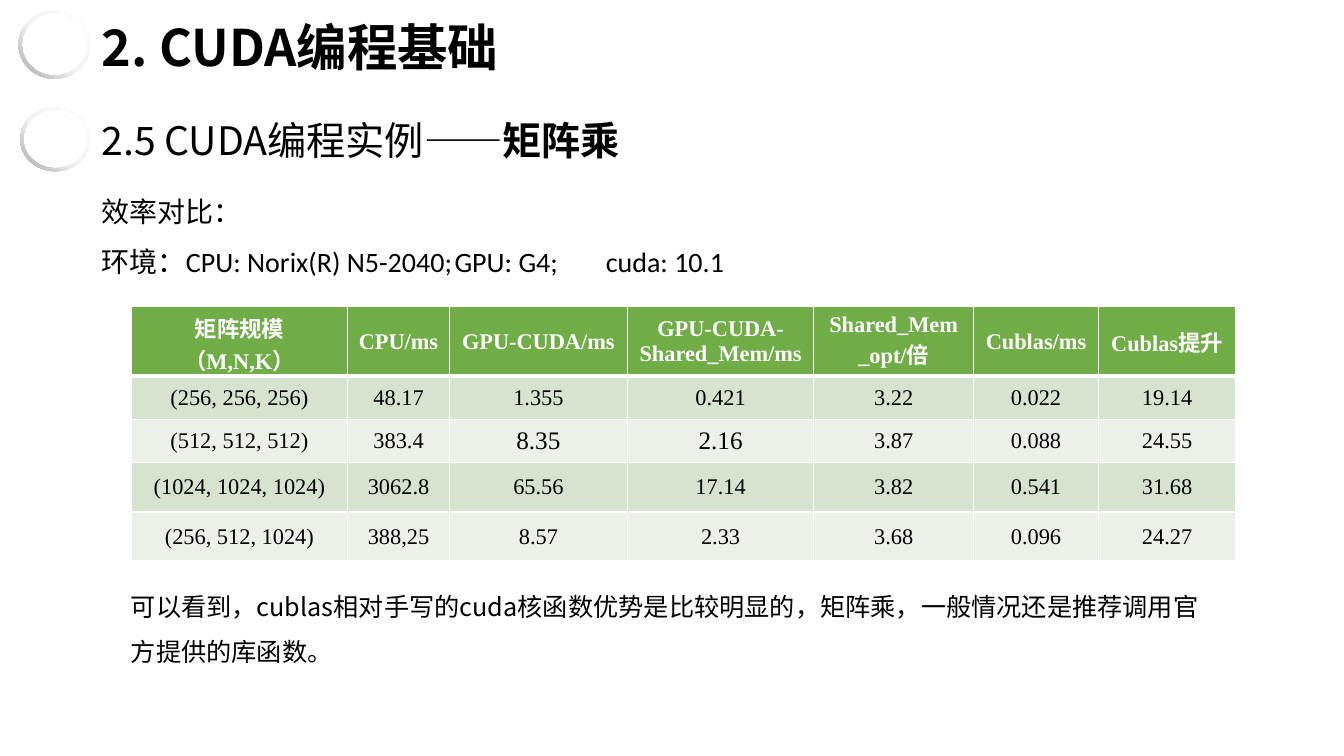
from copy import deepcopy
from dataclasses import dataclass

from lxml import etree
from pptx import Presentation
from pptx import util as u
from pptx.dml.color import RGBColor
from pptx.enum import shapes, text
from pptx.oxml import ns

WHITE = RGBColor(0xFF, 0xFF, 0xFF)
BLACK = RGBColor(0x00, 0x00, 0x00)
PEARL = RGBColor(0xF2, 0xF2, 0xF2)
GREY = RGBColor(0xA6, 0xA6, 0xA6)
GREEN = RGBColor(0x70, 0xAD, 0x47)
BANDS = (RGBColor(0xD5, 0xE3, 0xCF), RGBColor(0xEB, 0xF1, 0xE9))

SANS = "Noto Sans CJK SC"
SERIF = "Times New Roman"
PLAIN = "Calibri"

WIDE, HIGH = u.Inches(13.33), u.Inches(7.5)
COL, ROW = WIDE / 160, HIGH / 90


@dataclass(frozen=True)
class Area:
    col: float
    row: float
    cols: float
    rows: float

    def box(self) -> tuple[int, int, int, int]:
        return (int(self.col * COL), int(self.row * ROW),
                int(self.cols * COL), int(self.rows * ROW))


@dataclass(frozen=True)
class Piece:
    words: str
    size: float
    font: str
    bold: bool = False
    hue: RGBColor = BLACK


RINGS = [Area(2.2, 1.2, 8.6, 8.2), Area(2.4, 12.7, 8.4, 7.7)]
STOPS = [(0, WHITE), (0.55, PEARL), (1, GREY)]

TITLE = [[Piece("2. CUDA编程基础", 36, SANS, True)]]
TOPIC = [[Piece("2.5 CUDA编程实例——", 28, SANS), Piece("矩阵乘", 28, SERIF, True)]]
SETUP = [
    [Piece("效率对比：", 20, PLAIN)],
    [Piece("环境：CPU: Norix(R) N5-2040;\tGPU: G4;\tcuda: 10.1", 20, PLAIN)],
]
TABS = (44.5, 60)
CLOSE = [[Piece("可以看到，cublas相对手写的cuda核函数优势是比较明显的，"
                "矩阵乘，一般情况还是推荐调用官方提供的库函数。", 18, SANS)]]

GRID = Area(15.6, 36.5, 131.5, 30.3)
SPANS = (25.8, 12.1, 21.2, 22.2, 19, 14.9, 16.3)
TALLS = (8.3, 5.15, 5.15, 5.85, 5.85)
HEADS = ("矩阵规模（M,N,K）", "CPU/ms", "GPU-CUDA/ms", "GPU-CUDA-Shared_Mem/ms",
         "Shared_Mem_opt/倍", "Cublas/ms", "Cublas提升")
TIMES = (
    ("(256, 256, 256)", "48.17", "1.355", "0.421", "3.22", "0.022", "19.14"),
    ("(512, 512, 512)", "383.4", "8.35", "2.16", "3.87", "0.088", "24.55"),
    ("(1024, 1024, 1024)", "3062.8", "65.56", "17.14", "3.82", "0.541", "31.68"),
    ("(256, 512, 1024)", "388,25", "8.57", "2.33", "3.68", "0.096", "24.27"),
)
LARGE = ("8.35", "2.16")


def add_piece(para, piece: Piece) -> None:
    run = para.add_run()
    run.text = piece.words
    font = run.font
    font.size = u.Pt(piece.size)
    font.bold = piece.bold
    font.name = piece.font
    font.color.rgb = piece.hue
    latin = run._r.rPr.find(ns.qn("a:latin"))
    east = etree.Element(ns.qn("a:ea"), typeface=SANS)
    latin.addnext(east)


def write(shape, area: Area, paras: list[list[Piece]], wrap: bool = True,
          space: float = 1, tabs: tuple[float, ...] = ()) -> None:
    shape.left, shape.top, shape.width, shape.height = area.box()
    frame = shape.text_frame
    frame.word_wrap = wrap
    frame.auto_size = text.MSO_AUTO_SIZE.SHAPE_TO_FIT_TEXT
    frame.vertical_anchor = text.MSO_ANCHOR.TOP
    for i, pieces in enumerate(paras):
        para = frame.add_paragraph() if i else frame.paragraphs[0]
        para.alignment = text.PP_ALIGN.LEFT
        para.line_spacing = space
        para.space_before = u.Pt(0)
        props = para._p.get_or_add_pPr()
        props.set("marL", "0")
        props.set("indent", "0")
        etree.SubElement(props, ns.qn("a:buNone"))
        if tabs:
            stops = etree.SubElement(props, ns.qn("a:tabLst"))
            for tab in tabs:
                etree.SubElement(stops, ns.qn("a:tab"), pos=str(int(tab * COL)), algn="l")
        for piece in pieces:
            add_piece(para, piece)


def add_ring(slide, area: Area) -> None:
    ring = slide.shapes.add_shape(shapes.MSO_SHAPE.DONUT, *area.box())
    ring.adjustments[0] = 0.05
    ring.shadow.inherit = False
    ring.line.fill.background()
    ring.fill.gradient()
    ring.fill.gradient_angle = 225
    marks = ring._element.spPr.find(".//" + ns.qn("a:gsLst"))
    marks.append(deepcopy(marks[0]))
    for stop, (place, hue) in zip(ring.fill.gradient_stops, STOPS):
        stop.position = place
        stop.color.rgb = hue


def add_edge(cell, side: str, width: float) -> None:
    props = cell._tc.get_or_add_tcPr()
    line = etree.SubElement(props, ns.qn("a:ln" + side), w=str(u.Pt(width)))
    fill = etree.SubElement(line, ns.qn("a:solidFill"))
    etree.SubElement(fill, ns.qn("a:srgbClr"), val=str(WHITE))


def add_table(slide) -> None:
    table = slide.shapes.add_table(len(TALLS), len(SPANS), *GRID.box()).table
    for col, span in zip(table.columns, SPANS):
        col.width = int(span * COL)
    for row, tall in zip(table.rows, TALLS):
        row.height = int(tall * ROW)
    for r, words in enumerate((HEADS, *TIMES)):
        head = r == 0
        for c, word in enumerate(words):
            cell = table.cell(r, c)
            for side in "LRTB":
                thick = (r, side) in ((0, "B"), (1, "T"))
                add_edge(cell, side, 3 if thick else 1)
            cell.fill.solid()
            cell.fill.fore_color.rgb = GREEN if head else BANDS[(r - 1) % 2]
            cell.vertical_anchor = text.MSO_ANCHOR.MIDDLE
            para = cell.text_frame.paragraphs[0]
            para.alignment = text.PP_ALIGN.CENTER
            size = 18 if word in LARGE else 16
            add_piece(para, Piece(word, size, SERIF, head, WHITE if head else BLACK))


def main() -> None:
    deck = Presentation()
    deck.slide_width, deck.slide_height = WIDE, HIGH
    slide = deck.slides.add_slide(deck.slide_layouts[1])
    write(slide.shapes.title, Area(10.9, 1.3, 52.1, 8.5), TITLE, wrap=False)
    write(slide.placeholders[1], Area(10.9, 20.5, 98.4, 13.3), SETUP,
          space=1.5, tabs=TABS)
    for area in RINGS:
        add_ring(slide, area)
    add_table(slide)
    for area, paras, wrap, space in (
        (Area(10.9, 13.2, 67.3, 6.8), TOPIC, False, 1),
        (Area(14.4, 68, 131.9, 12.1), CLOSE, True, 1.5),
    ):
        write(slide.shapes.add_textbox(*area.box()), area, paras, wrap, space)
    deck.save("out.pptx")


if __name__ == "__main__":
    main()
